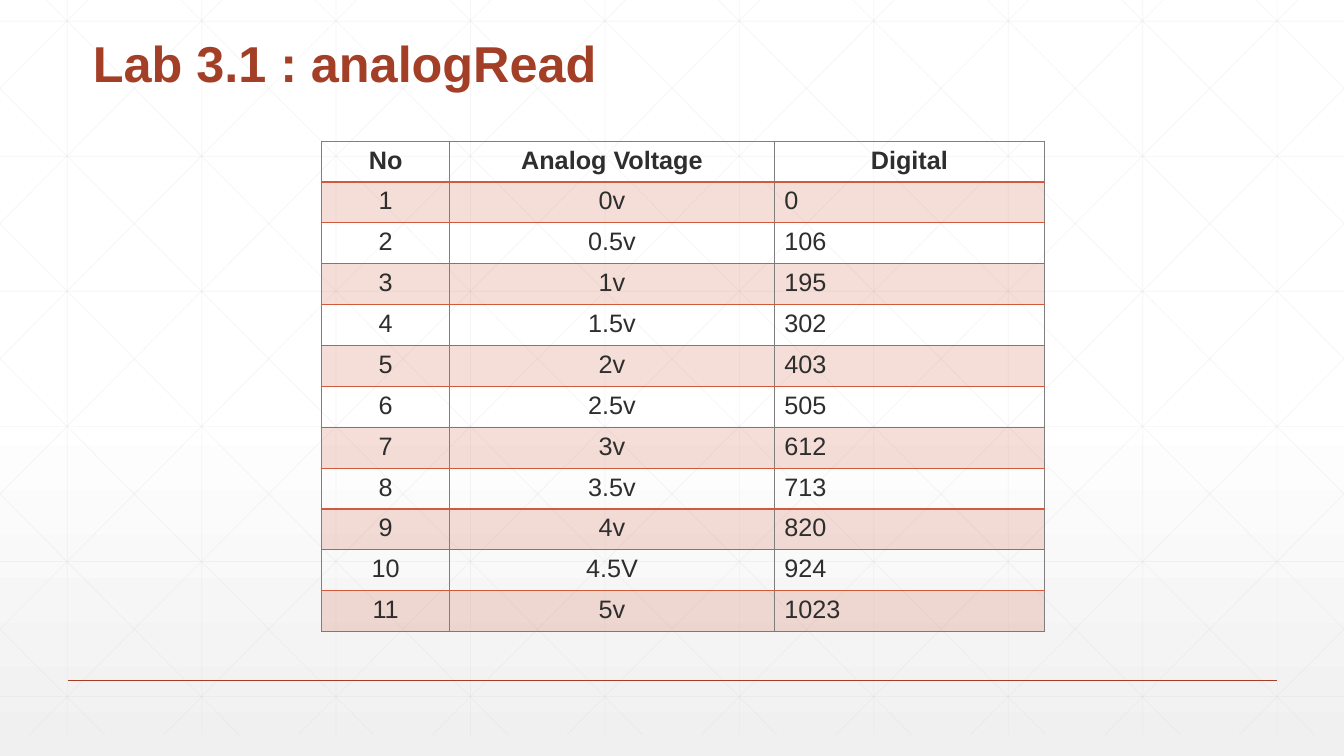
from lxml import etree
from pptx import Presentation
from pptx import util as u
from pptx.dml.color import RGBColor
from pptx.enum import shapes, text
from pptx.oxml.ns import qn

RUST, CORAL, INK, PALE, GRAY = "A43F27", "D15A3E", "2D2E2D", "D9D9D9", "7F7F7F"
WIDE, HIGH = 13.33, 7.5
HEAD = ("No", "Analog Voltage", "Digital")
VOLTS = "0v 0.5v 1v 1.5v 2v 2.5v 3v 3.5v 4v 4.5V 5v".split()
READS = "0 106 195 302 403 505 612 713 820 924 1023".split()


def tone(code):
    return RGBColor.from_string(code)


def fade(node, part):
    for color in node.iter(qn("a:srgbClr")):
        etree.SubElement(color, qn("a:alpha"), val=str(part * 1000))


def style(para, size, code, bold=False):
    font = para.font
    font.name, font.size, font.bold = "Arial", u.Pt(size), bold
    font.color.rgb = tone(code)


def line(slide, start, end, code, width, part=100):
    ends = [u.Inches(n) for n in (*start, *end)]
    rule = slide.shapes.add_connector(shapes.MSO_CONNECTOR.STRAIGHT, *ends)
    rule.line.color.rgb = tone(code)
    rule.line.width = u.Pt(width)
    props = rule._element.spPr
    if part < 100:
        fade(props, part)
    etree.SubElement(props, qn("a:effectLst"))


def backdrop(slide):
    fill = slide.background.fill
    fill.gradient()
    fill.gradient_angle = 270
    for stop, place, code in zip(fill.gradient_stops, (0.53, 1), ("FFFFFF", "F0F0F0")):
        stop.position = place
        stop.color.rgb = tone(code)


def lattice(slide, box):
    left, top, width, height = box
    step, slope = 4 / 3, 1.006

    def thin(x1, y1, x2, y2):
        line(slide, (left + x1, top + y1), (left + x2, top + y2), PALE, 0.5, 25)

    for n in range(10):
        thin(step * (n + 0.5), 0, step * (n + 0.5), height)
    for n in range(6):
        thin(0, 0.21 + 1.34 * n, width, 0.21 + 1.34 * n)
    for n in range(-5, 10):
        base = 0.46 + step * n
        x1, x2 = max(base, 0), min(base + height / slope, width)
        y1, y2 = (x1 - base) * slope, (x2 - base) * slope
        thin(x1, y1, x2, y2)
        thin(width - x1, y1, width - x2, y2)


def heading(slide, box):
    title = slide.shapes.title
    title.left, title.top, title.width, title.height = map(u.Inches, box)
    frame = title.text_frame
    frame.text = "Lab 3.1 : analogRead"
    frame.word_wrap = True
    frame.auto_size = text.MSO_AUTO_SIZE.NONE
    frame.vertical_anchor = text.MSO_ANCHOR.BOTTOM
    para = frame.paragraphs[0]
    para.alignment = text.PP_ALIGN.LEFT
    para.line_spacing = 0.9
    style(para, 36, RUST, True)
    slide.shapes._spTree.append(title._element)


def border(cell, side, code, width):
    edge = etree.SubElement(cell._tc.get_or_add_tcPr(), qn("a:ln" + side),
                            w=str(u.Pt(width)))
    fill = etree.SubElement(edge, qn("a:solidFill"))
    etree.SubElement(fill, qn("a:srgbClr"), val=code)


def fill_cell(cell, words, row, col):
    cell.text = words
    para = cell.text_frame.paragraphs[0]
    style(para, 18, INK, row == 0)
    center = row == 0 or col < 2
    para.alignment = text.PP_ALIGN.CENTER if center else text.PP_ALIGN.LEFT
    border(cell, "L", GRAY, 0.75)
    border(cell, "R", GRAY, 0.75)
    border(cell, "T", CORAL if row else GRAY, 2 if row == 1 else 1)
    border(cell, "B", CORAL, 1 if row else 2)
    if row % 2:
        cell.fill.solid()
        cell.fill.fore_color.rgb = tone(CORAL)
        fade(cell._tc.tcPr.find(qn("a:solidFill")), 20)
    else:
        cell.fill.background()


def readings(slide, box):
    nums = map(str, range(1, len(VOLTS) + 1))
    data = [HEAD, *zip(nums, VOLTS, READS)]
    table = slide.shapes.add_table(len(data), len(HEAD), *map(u.Inches, box)).table
    table.first_row = table.horz_banding = False
    for col, width in zip(table.columns, (1.27, 3.22, 2.68)):
        col.width = u.Inches(width)
    for r, row in enumerate(data):
        table.rows[r].height = u.Inches(box[3] / len(data))
        for c, words in enumerate(row):
            fill_cell(table.cell(r, c), words, r, c)


def build():
    deck = Presentation()
    deck.slide_width, deck.slide_height = u.Inches(WIDE), u.Inches(HIGH)
    slide = deck.slides.add_slide(deck.slide_layouts[5])
    backdrop(slide)
    lattice(slide, (0, 0, WIDE, 7.29))
    line(slide, (0.67, 6.75), (12.67, 6.75), RUST, 1)
    heading(slide, (0.82, 0.12, 10.5, 0.86))
    readings(slide, (3.19, 1.4, 7.17, 4.87))
    deck.save("out.pptx")


build()
